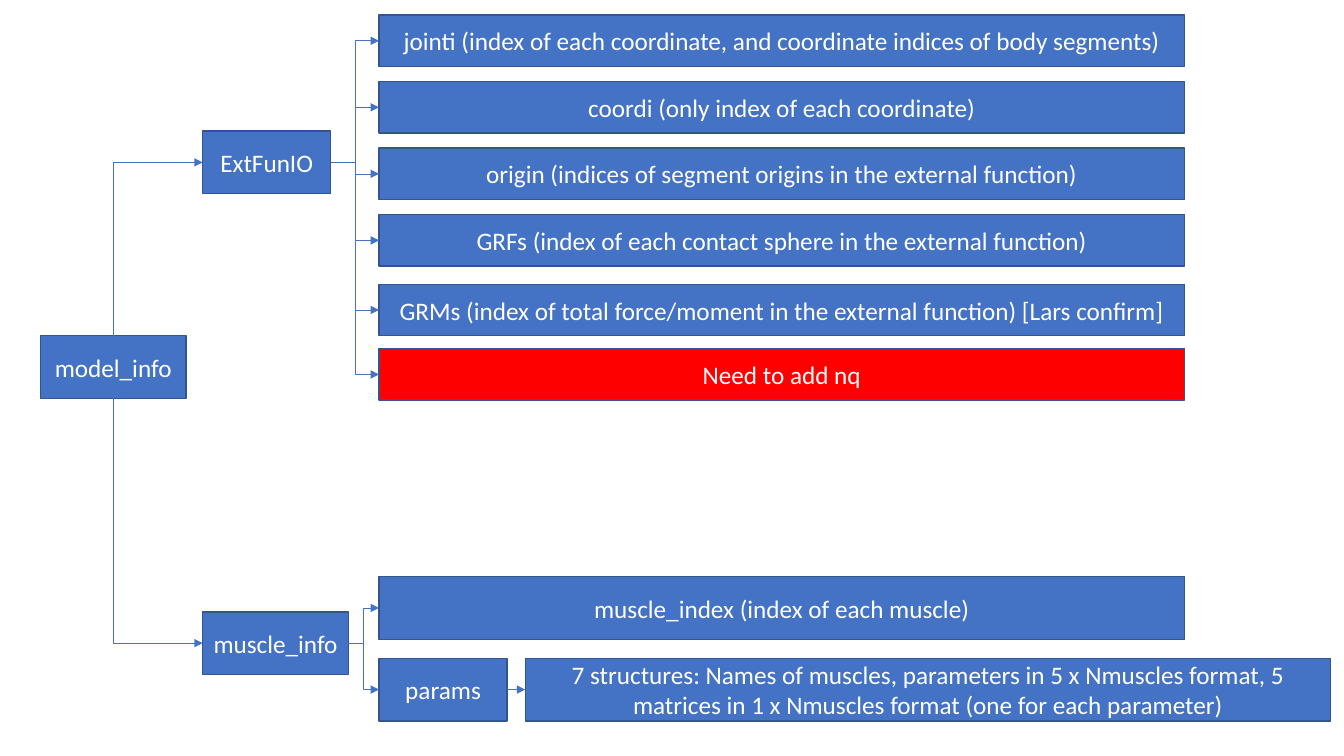
from lxml.etree import SubElement
from pptx import Presentation
from pptx.dml.color import RGBColor
from pptx.enum.shapes import MSO_CONNECTOR, MSO_SHAPE
from pptx.enum.text import MSO_ANCHOR, PP_ALIGN
from pptx.oxml.ns import qn
from pptx.util import Inches, Pt

COLORS = {"node": "4472C4", "edge": "325491", "todo": "FF0000", "text": "FFFFFF"}
TOP, LEFT, BOTTOM, RIGHT = range(4)  # connection sites of a rectangle


def color(name):
    return RGBColor.from_string(COLORS[name])


class Diagram:
    """Style and current slide; lengths are percent of the slide's size."""

    font = {"name": "Calibri", "size": Pt(18)}
    frame_format = {"word_wrap": True, "vertical_anchor": MSO_ANCHOR.MIDDLE}

    def __init__(self, deck):
        self.column = deck.slide_width / 100
        self.row = deck.slide_height / 100
        self.page = deck.slides.add_slide(deck.slide_layouts[6])

    def node(self, label, left, top, width, height, fill="node"):
        box = self.page.shapes.add_shape(
            MSO_SHAPE.RECTANGLE,
            round(left * self.column), round(top * self.row),
            round(width * self.column), round(height * self.row))
        box.shadow.inherit = False
        box.fill.solid()
        box.fill.fore_color.rgb = color(fill)
        box.line.color.rgb = color("edge")
        box.line.width = Pt(1)
        for key, value in self.frame_format.items():
            setattr(box.text_frame, key, value)
        para = box.text_frame.paragraphs[0]
        para.alignment = PP_ALIGN.CENTER
        span = para.add_run()
        span.text = label
        for key, value in self.font.items():
            setattr(span.font, key, value)
        span.font.color.rgb = color("text")
        return box

    def link(self, begin, begin_site, end, end_site, arrow="tailEnd"):
        line = self.page.shapes.add_connector(MSO_CONNECTOR.ELBOW, 0, 0, 0, 0)
        line.begin_connect(begin, begin_site)
        line.end_connect(end, end_site)
        line.line.color.rgb = color("node")
        line.line.width = Pt(0.5)
        properties = line._element.spPr
        SubElement(properties.find(qn("a:ln")), qn("a:" + arrow), type="triangle")
        SubElement(properties, qn("a:effectLst"))
        return line

    def branch(self, parent, child):
        self.link(parent, RIGHT, child, LEFT)

    def corner(self, parent, site, child):
        """One-bend link, laid from child to parent with its arrow at the child."""
        line = self.link(child, LEFT, parent, site, arrow="headEnd")
        line._element.spPr.find(qn("a:prstGeom")).set("prst", "bentConnector2")


deck = Presentation()
deck.slide_width, deck.slide_height = Inches(13.33), Inches(7.5)
diagram = Diagram(deck)

# Shared columns and sizes
GROUP_LEFT, FIELD_LEFT, DETAIL_LEFT = 15.08, 28.2, 39.08
SHORT, MEDIUM, WIDE = 9.53, 10.85, 59.93
TALL, THIN = 8.3, 6.8
PARAMS_TOP = 87.07

# Root and its two groups
model_info = diagram.node("model_info", 3, 44.4, MEDIUM, TALL)
ext_fun_io = diagram.node("ExtFunIO", GROUP_LEFT, 17.33, SHORT, TALL)
muscle_info = diagram.node("muscle_info", GROUP_LEFT, 80.93, MEDIUM, TALL)
diagram.corner(model_info, TOP, ext_fun_io)
diagram.corner(model_info, BOTTOM, muscle_info)

# Fields of ExtFunIO
io_fields = [
    ("jointi (index of each coordinate, and coordinate indices of body segments)", 2, "node"),
    ("coordi (only index of each coordinate)", 10.8, "node"),
    ("origin (indices of segment origins in the external function)", 19.6, "node"),
    ("GRFs (index of each contact sphere in the external function)", 28.4, "node"),
    ("GRMs (index of total force/moment in the external function) [Lars confirm]", 37.6, "node"),
    ("Need to add nq", 46.13, "todo"),
]
for label, top, fill in io_fields:
    field = diagram.node(label, FIELD_LEFT, top, WIDE, THIN, fill)
    diagram.branch(ext_fun_io, field)

# Fields of muscle_info
muscle_index = diagram.node("muscle_index (index of each muscle)",
                            FIELD_LEFT, 76.27, WIDE, TALL)
params = diagram.node("params", FIELD_LEFT, PARAMS_TOP, SHORT, TALL)
structures = diagram.node(
    "7 structures: Names of muscles, parameters in 5 x Nmuscles format, "
    "5 matrices in 1 x Nmuscles format (one for each parameter)",
    DETAIL_LEFT, PARAMS_TOP, WIDE, TALL)
for parent, child in [(muscle_info, muscle_index), (muscle_info, params),
                      (params, structures)]:
    diagram.branch(parent, child)

deck.save("out.pptx")
